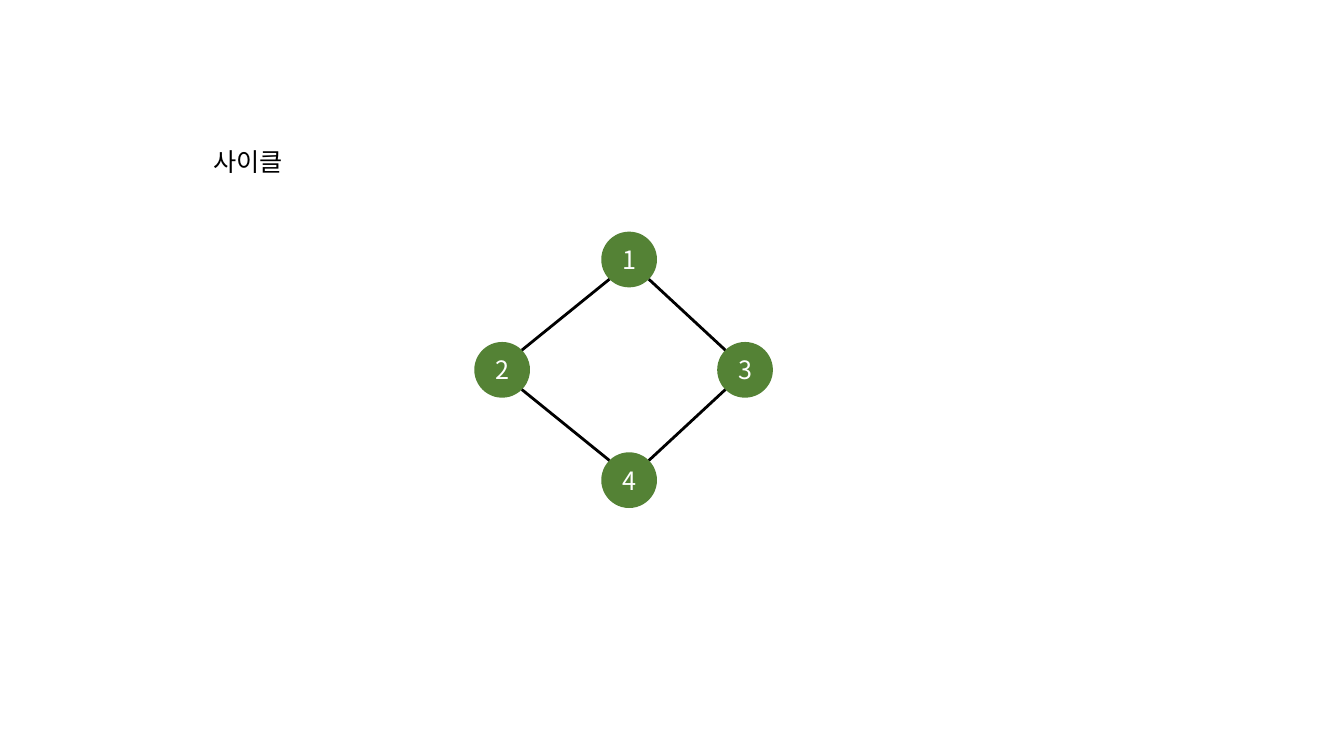
import math
import pptx
import pptx.util
import pptx.dml.color
import pptx.enum.shapes
import pptx.enum.text
import pptx.oxml.ns
import lxml.etree

Pt = pptx.util.Pt
RGB = pptx.dml.color.RGBColor.from_string
qn = pptx.oxml.ns.qn
FONT = "Noto Sans CJK KR"
COLORS = {"node": "548235", "edge": "000000", "label": "FFFFFF", "title": "000000"}

prs = pptx.Presentation()
prs.slide_width, prs.slide_height = Pt(960), Pt(540)
s = prs.slides.add_slide(prs.slide_layouts[6])


def add_run(p, text, color):
    r = p.add_run()
    r.text = text
    r.font.size = Pt(18)
    r.font.name = FONT
    r.font.color.rgb = RGB(color)
    lxml.etree.SubElement(r._r.get_or_add_rPr(), qn("a:ea"), typeface=FONT)


# Graph: node centres and the edges of the cycle
DIAMETER = 39.8
nodes = {"1": (449.4, 185.4), "2": (358.7, 264.2), "3": (532.2, 264.2), "4": (449.4, 343)}
edges = [("1", "2"), ("2", "4"), ("3", "4"), ("1", "3")]

# Nodes
for label, (x, y) in nodes.items():
    sp = s.shapes.add_shape(pptx.enum.shapes.MSO_SHAPE.OVAL, Pt(x - DIAMETER / 2),
                            Pt(y - DIAMETER / 2), Pt(DIAMETER), Pt(DIAMETER))
    sp.shadow.inherit = False
    sp.fill.solid()
    sp.fill.fore_color.rgb = RGB(COLORS["node"])
    sp.line.fill.background()
    tf = sp.text_frame
    tf.vertical_anchor = pptx.enum.text.MSO_ANCHOR.MIDDLE
    p = tf.paragraphs[0]
    p.alignment = pptx.enum.text.PP_ALIGN.CENTER
    add_run(p, label, COLORS["label"])

# Edges run between the diagonal points of the circles
diagonal = DIAMETER / 2 * math.sqrt(0.5)
for start, end in edges:
    (x1, y1), (x2, y2) = nodes[start], nodes[end]
    dx = math.copysign(diagonal, x2 - x1)
    dy = math.copysign(diagonal, y2 - y1)
    line = s.shapes.add_connector(pptx.enum.shapes.MSO_CONNECTOR.STRAIGHT,
                                  Pt(x1 + dx), Pt(y1 + dy), Pt(x2 - dx), Pt(y2 - dy))
    line.line.color.rgb = RGB(COLORS["edge"])
    line.line.width = Pt(2)
    lxml.etree.SubElement(line._element.spPr, qn("a:effectLst"))

# Title
tf = s.shapes.add_textbox(Pt(145.4), Pt(100.8), Pt(69.1), Pt(29.1)).text_frame
tf.word_wrap = False
tf.auto_size = pptx.enum.text.MSO_AUTO_SIZE.SHAPE_TO_FIT_TEXT
add_run(tf.paragraphs[0], "사이클", COLORS["title"])

prs.save("out.pptx")
